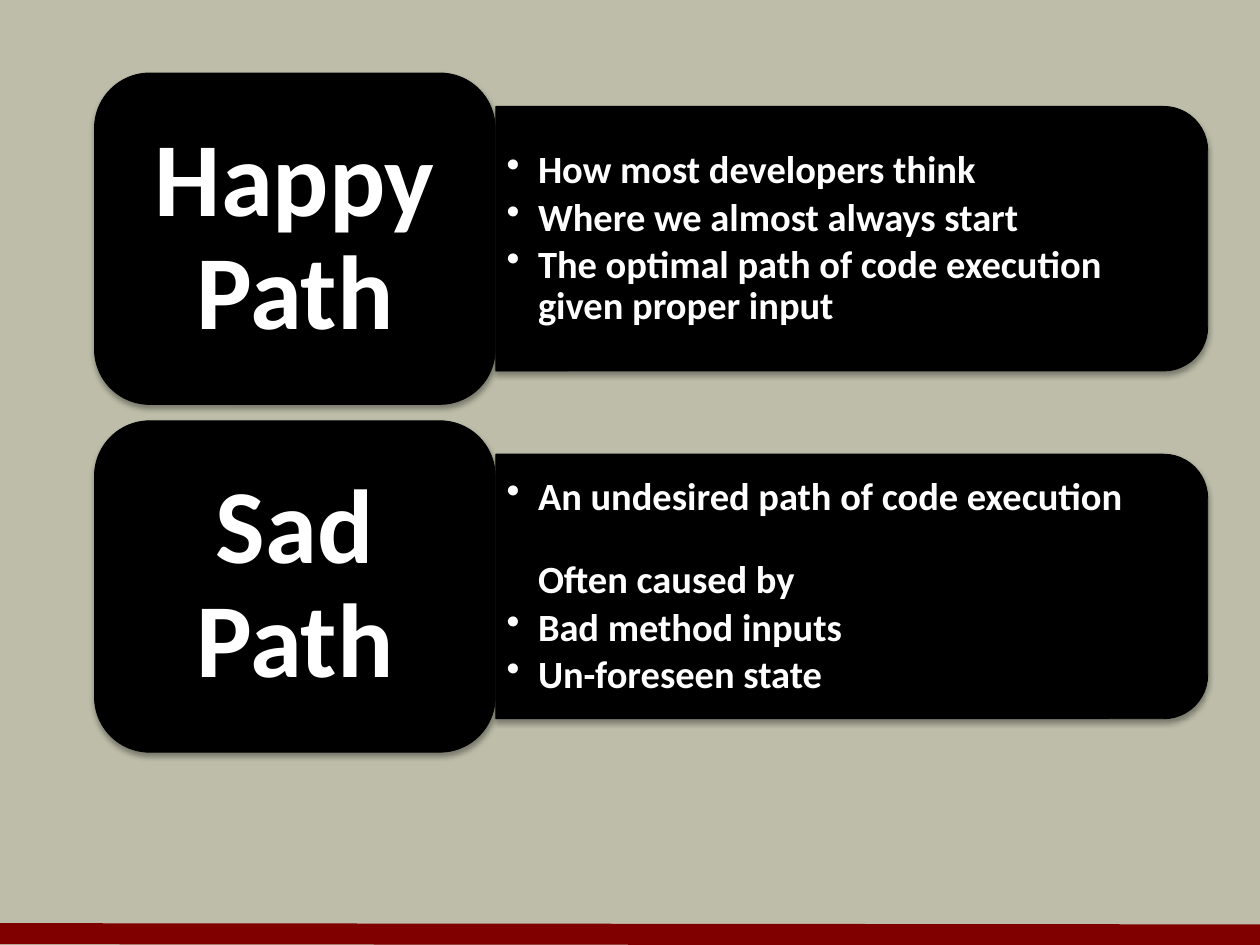
from copy import deepcopy
from lxml import etree
from pptx import Presentation
from pptx.dml.color import RGBColor
from pptx.enum import shapes, text
from pptx.oxml import parse_xml
from pptx.oxml.ns import nsdecls, qn
from pptx.util import Inches, Pt

BLACK = RGBColor(0x00, 0x00, 0x00)
WHITE = RGBColor(0xFF, 0xFF, 0xFF)
SAND = RGBColor(0xBD, 0xBD, 0xA9)
MAROON = RGBColor(0x80, 0x00, 0x00)

SHADOW = f"""<a:effectLst {nsdecls('a')}>
<a:outerShdw blurRad="39370" dist="25400" dir="5400000" rotWithShape="0">
<a:srgbClr val="000000"><a:alpha val="35000"/></a:srgbClr>
</a:outerShdw></a:effectLst>"""

deck = Presentation()
deck.slide_width, deck.slide_height = Inches(10), Inches(7.5)
slide = deck.slides.add_slide(deck.slide_layouts[6])
slide.background.fill.solid()
slide.background.fill.fore_color.rgb = SAND


def panel(kind, left, top, width, height, turn=0):
    """Add a black panel with a soft shadow below it."""
    box = slide.shapes.add_shape(
        kind, Inches(left), Inches(top), Inches(width), Inches(height))
    box.rotation = turn
    box.fill.solid()
    box.fill.fore_color.rgb = BLACK
    box.line.color.rgb = BLACK
    box.line.width = Pt(0.5)
    box._element.spPr.append(parse_xml(SHADOW))


def write(lines, left, top, width, height, size, pad, after,
          align=text.PP_ALIGN.LEFT, bullet=False):
    """Add a text box with one bold white paragraph per line."""
    box = slide.shapes.add_textbox(
        Inches(left), Inches(top), Inches(width), Inches(height))
    frame = box.text_frame
    frame.word_wrap = True
    frame.vertical_anchor = text.MSO_ANCHOR.MIDDLE
    frame.margin_left = frame.margin_right = Inches(pad[0])
    frame.margin_top = frame.margin_bottom = Inches(pad[1])
    for i, line in enumerate(lines):
        para = frame.add_paragraph() if i else frame.paragraphs[0]
        para.text = line
        para.alignment = align
        para.line_spacing = 0.9
        para.space_after = Pt(after)
        if bullet:
            props = para._p.get_or_add_pPr()
            props.set("marL", str(Inches(0.25)))
            props.set("indent", str(Inches(-0.25)))
            etree.SubElement(props, qn("a:buChar")).set("char", "•")
        for run in para.runs:
            run.font.name = "Calibri"
            run.font.size = Pt(size)
            run.font.bold = True
            run.font.color.rgb = WHITE
        # Line breaks take the format of the text around them
        for gap in para._p.findall(qn("a:br")):
            gap.append(deepcopy(para.runs[0]._r.rPr))


# Bar along the bottom edge
bar = slide.shapes.add_connector(
    shapes.MSO_CONNECTOR.STRAIGHT,
    Inches(0), Inches(7.41), Inches(10), Inches(7.42))
bar.line.color.rgb = MAROON
bar.line.width = Pt(12)
etree.SubElement(bar._element.spPr, qn("a:effectLst"))

# One row per path: points on the right, name on the left
paths = [
    ("Happy Path", ["How most developers think",
                    "Where we almost always start",
                    "The optimal path of code execution given proper input"]),
    ("Sad Path", ["An undesired path of code execution\n\nOften caused by",
                  "Bad method inputs",
                  "Un-foreseen state"]),
]
for row, (name, points) in enumerate(paths):
    top = 0.58 + row * 2.76
    panel(shapes.MSO_SHAPE.ROUND_2_SAME_RECTANGLE,
          5.71, top - 1.51, 2.1, 5.65, turn=90)
    write(points, 3.93, top + 0.37, 5.55, 1.9, size=22,
          pad=(0.09, 0.05), after=3.3, bullet=True)
    panel(shapes.MSO_SHAPE.ROUNDED_RECTANGLE, 0.75, top, 3.18, 2.63)
    write([name], 0.88, top + 0.13, 2.92, 2.37, size=60,
          pad=(0.25, 0.12), after=0, align=text.PP_ALIGN.CENTER)

deck.save("out.pptx")
